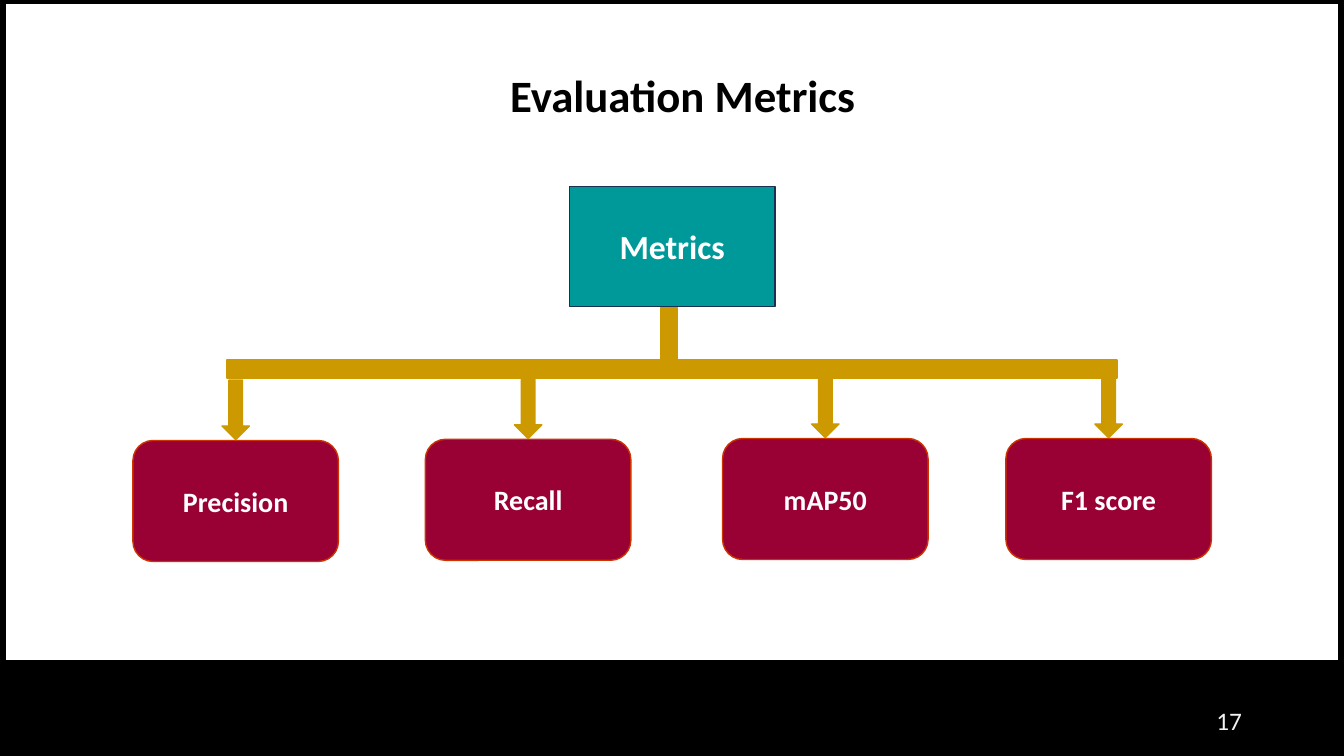
import collections

import pptx
import pptx.dml.color
import pptx.enum.shapes
import pptx.enum.text
import pptx.util

Cm = pptx.util.Cm
RGBColor = pptx.dml.color.RGBColor
Shape = pptx.enum.shapes.MSO_SHAPE
Align = pptx.enum.text.PP_ALIGN
Anchor = pptx.enum.text.MSO_ANCHOR
Box = collections.namedtuple("Box", "left top width height")

BLACK = RGBColor(0x00, 0x00, 0x00)
WHITE = RGBColor(0xFF, 0xFF, 0xFF)
PALE_GREY = RGBColor(0xF2, 0xF2, 0xF2)
TEAL = RGBColor(0x00, 0x99, 0x99)
NAVY = RGBColor(0x1C, 0x30, 0x52)
GOLD = RGBColor(0xCC, 0x99, 0x00)
CRIMSON = RGBColor(0x99, 0x00, 0x33)
RUST = RGBColor(0xCC, 0x33, 0x00)

SLIDE = Box(0, 0, 33.87, 19.05)
NODE_WIDTH = 5.18
# Label, then left and top within the tree
METRICS = [
    ("Precision", 0, 6.4),
    ("Recall", 7.37, 6.37),
    ("mAP50", 14.86, 6.35),
    ("F1 score", 22, 6.35),
]


def in_cm(box):
    return [Cm(length) for length in box]


def write(frame, text, size, color, align, anchor, bold=True):
    frame.word_wrap = True
    frame.vertical_anchor = anchor
    paragraph = frame.paragraphs[0]
    paragraph.alignment = align
    run = paragraph.add_run()
    run.text = text
    run.font.name = "Calibri"
    run.font.size = pptx.util.Pt(size)
    run.font.bold = bold
    run.font.color.rgb = color


def add_block(slide, kind, box, fill, outline):
    block = slide.shapes.add_shape(kind, *in_cm(box))
    block.shadow.inherit = False
    block.fill.solid()
    block.fill.fore_color.rgb = fill
    block.line.color.rgb = outline
    block.line.width = pptx.util.Pt(1)
    return block


def add_frame(slide, box):
    """Draw the thin black border and the deep footer band."""
    edge, footer = 0.13, 2.39
    side = box.height - footer
    for part in (
        Box(box.left, box.top + side, box.width, footer),
        Box(box.left, box.top, edge, side),
        Box(box.left, box.top - 0.05, box.width, edge),
        Box(box.left + box.width - edge, box.top, edge, side),
    ):
        add_block(slide, Shape.RECTANGLE, part, BLACK, BLACK)


def add_title(slide, box):
    title = slide.shapes.title
    title.left, title.top, title.width, title.height = in_cm(box)
    write(title.text_frame, "Evaluation Metrics", 32, BLACK, Align.LEFT, Anchor.TOP)
    title.text_frame.auto_size = pptx.enum.text.MSO_AUTO_SIZE.SHAPE_TO_FIT_TEXT


def add_page_number(slide, box):
    number = slide.shapes.add_textbox(*in_cm(box))
    write(number.text_frame, "17", 18, PALE_GREY, Align.RIGHT, Anchor.MIDDLE, bold=False)


def add_metric(slide, label, box):
    """Draw a metric card and the arrow that ends at its top."""
    card = add_block(slide, Shape.ROUNDED_RECTANGLE, box, CRIMSON, RUST)
    write(card.text_frame, label, 20, WHITE, Align.CENTER, Anchor.MIDDLE)
    width, height = 0.69, 1.5
    arrow = Box(box.left + (box.width - width) / 2, box.top - height - 0.02, width, height)
    add_block(slide, Shape.DOWN_ARROW, arrow, GOLD, GOLD)


def add_metrics_tree(slide, box):
    root_box = Box(box.left + (box.width - NODE_WIDTH) / 2, box.top, NODE_WIDTH, 3.02)
    root = add_block(slide, Shape.RECTANGLE, root_box, TEAL, NAVY)
    write(root.text_frame, "Metrics", 24, WHITE, Align.CENTER, Anchor.MIDDLE)

    for label, left, top in METRICS:
        add_metric(slide, label, Box(box.left + left, box.top + top, NODE_WIDTH, 3.05))

    bar = Box(box.left + 2.37, box.top + 4.37, 22.43, 0.46)
    stem = Box(box.left + 13.31, box.top + 3.05, 0.41, 1.35)
    for part in (bar, stem):
        add_block(slide, Shape.RECTANGLE, part, GOLD, GOLD)


def main():
    deck = pptx.Presentation()
    deck.slide_width, deck.slide_height = Cm(SLIDE.width), Cm(SLIDE.height)
    slide = deck.slides.add_slide(deck.slide_layouts.get_by_name("Title Only"))
    add_frame(slide, SLIDE)
    add_title(slide, Box(12.6, 1.57, 9.3, 1.63))
    add_metrics_tree(slide, Box(3.35, 4.7, 27.18, 9.4))
    add_page_number(slide, Box(23.93, 17.65, 7.62, 1.02))
    deck.save("out.pptx")


if __name__ == "__main__":
    main()
